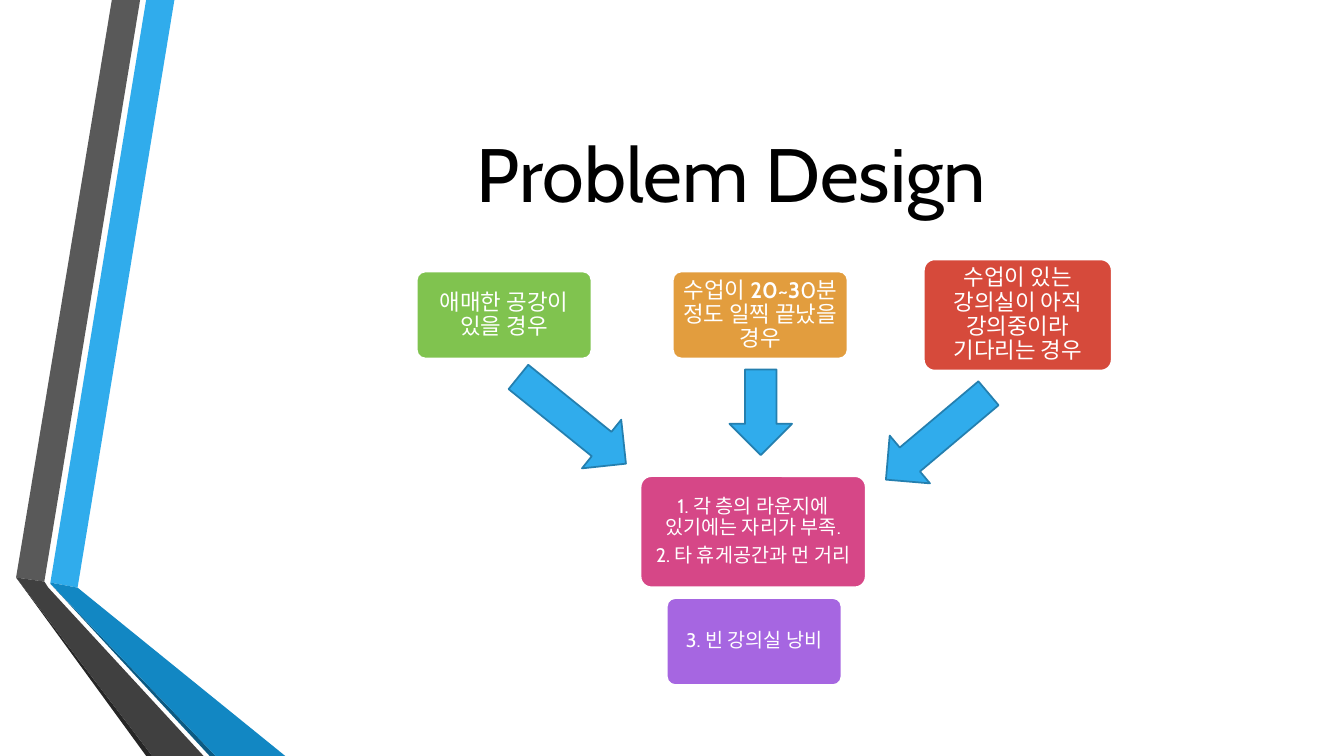
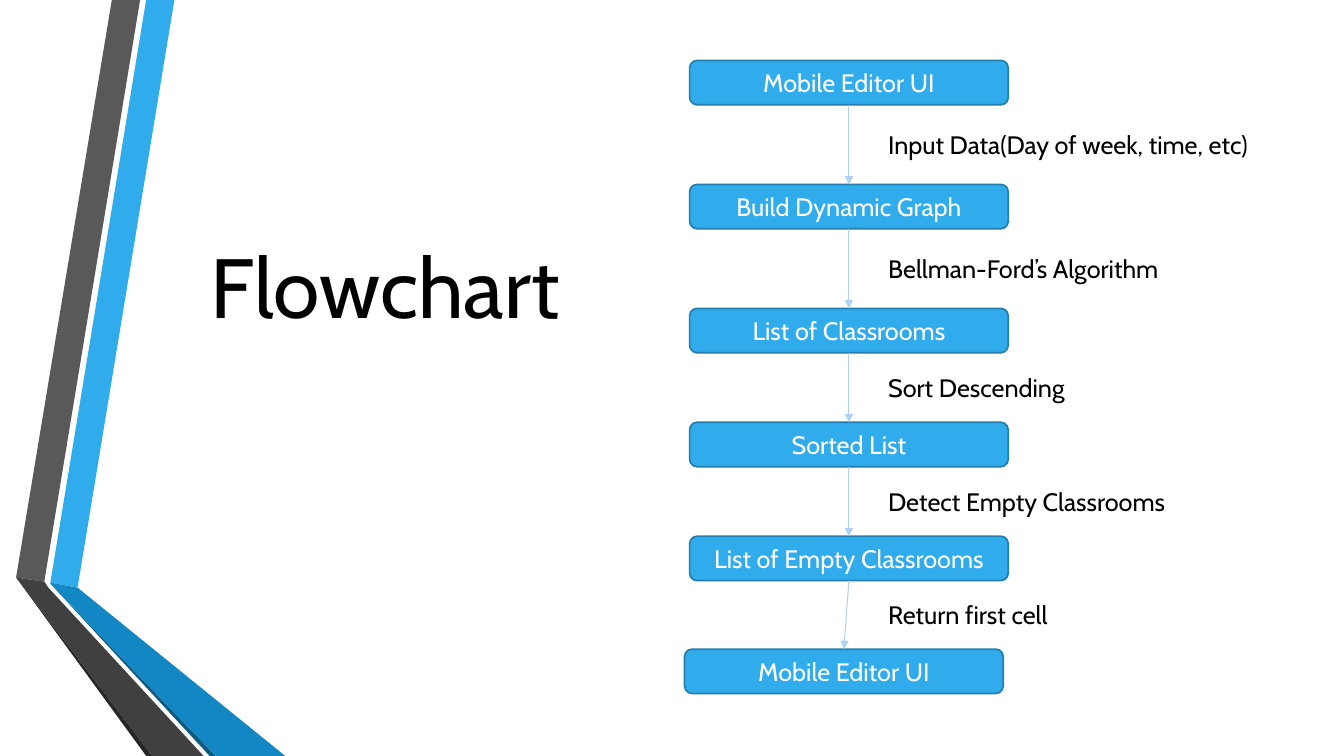
import pptx
import pptx.dml.color
import pptx.enum.shapes
import pptx.enum.text
import pptx.oxml
import pptx.oxml.ns
import pptx.util
from pptx.util import Inches

COLORS = {
    "white": "FFFFFF", "black": "000000", "blue": "30ACEC", "outline": "247FAF",
    "connector": "AED2F4", "deep_blue": "1287C3", "navy": "0C5A82",
    "gray": "595959", "dark_gray": "404040", "charcoal": "262626",
    "green": "80C34F", "orange": "E29D3E", "red": "D64A3B",
    "pink": "D64787", "purple": "A666E1",
}
FONT = "Cabin"
SHAPES = pptx.enum.shapes.MSO_SHAPE
ANCHOR = pptx.enum.text.MSO_ANCHOR
ALIGN = pptx.enum.text.PP_ALIGN

BANDS = [
    ("blue", [(0.5, 5.78), (0.77, 5.83), (1.73, 0), (1.45, 0)]),
    ("gray", [(1.39, 0), (1.11, 0), (0.16, 5.73), (0.44, 5.77)]),
    ("charcoal", [(0.16, 5.73), (1.45, 7.5), (1.51, 7.5)]),
    ("navy", [(0.5, 5.79), (2.08, 7.5), (2.14, 7.5)]),
    ("deep_blue", [(0.5, 5.78), (0.5, 5.79), (2.14, 7.5), (2.83, 7.5), (0.77, 5.83)]),
    ("dark_gray", [(0.16, 5.73), (1.51, 7.5), (2.02, 7.5), (0.48, 5.83), (0.44, 5.77)]),
]

CARDS = [
    ("green", (4.13, 2.69, 1.74, 0.87), 16, [[("애매한 공강이 있을 경우", False)]]),
    ("orange", (6.67, 2.69, 1.74, 0.87), 16,
     [[("수업이 ", False), ("20~3", True), ("0분 정도 일찍 끝났을 경우", False)]]),
    ("red", (9.16, 2.57, 1.87, 1.11), 16,
     [[("수업이 있는 강의실이 아직 강의중이라 기다리는 경우", False)]]),
    ("pink", (6.35, 4.72, 2.24, 1.11), 14,
     [[("1. 각 층의 라운지에 있기에는 자리가 부족.", False)],
      [("2. 타 휴게공간과 먼 거리", False)]]),
    ("purple", (6.61, 5.93, 1.74, 0.87), 14, [[("3. 빈 강의실 낭비", False)]]),
]

ARROWS = [
    ((4.99, 3.86, 1.37, 0.62), 38.9),
    ((7.12, 3.78, 0.85, 0.62), 90),
    ((8.63, 4.02, 1.33, 0.62), 139.9),
]

STEPS = [
    ("Mobile Editor UI", 6.84, 0.6),
    ("Build Dynamic Graph", 6.84, 1.83),
    ("List of Classrooms", 6.84, 3.06),
    ("Sorted List", 6.84, 4.19),
    ("List of Empty Classrooms", 6.84, 5.32),
    ("Mobile Editor UI", 6.79, 6.44),
]
STEP_SIZE = (3.16, 0.44)
LABEL_SIZE = (3.93, 0.4)
ACTIONS = [
    "Input Data(Day of week, time, etc)",
    "Bellman-Ford’s Algorithm",
    "Sort Descending",
    "Detect Empty Classrooms",
    "Return first cell",
]


def rgb(name):
    return pptx.dml.color.RGBColor.from_string(COLORS[name])


def inches(values):
    return [Inches(value) for value in values]


def add_span(para, text, size, color, bold=False):
    span = para.add_run()
    span.text = text
    span.font.name = FONT
    span.font.size = pptx.util.Pt(size)
    span.font.bold = bold
    span.font.color.rgb = rgb(color)


def add_bands(page, layout):
    for number, (color, points) in enumerate(BANDS):
        corners = [tuple(inches(point)) for point in points]
        builder = page.shapes.build_freeform(*corners[0])
        builder.add_line_segments(corners[1:], close=True)
        band = builder.convert_to_shape()
        band.shadow.inherit = False
        band.fill.solid()
        band.fill.fore_color.rgb = rgb(color)
        band.line.fill.background()
        band.element.xpath(".//p:cNvPr")[0].set("id", str(20 + number))
        layout.shapes.element.append(band.element)


def set_title(page, text, place, size, align, anchor):
    title = page.shapes.title
    title.left, title.top, title.width, title.height = inches(place)
    frame = title.text_frame
    frame.auto_size = pptx.enum.text.MSO_AUTO_SIZE.NONE
    frame.vertical_anchor = anchor
    para = frame.paragraphs[0]
    para.alignment = align
    add_span(para, text, size, "black")


def add_box(page, kind, place, fill="blue", line="outline", weight=1.25):
    box = page.shapes.add_shape(kind, *inches(place))
    box.shadow.inherit = False
    box.fill.solid()
    box.fill.fore_color.rgb = rgb(fill)
    box.line.color.rgb = rgb(line)
    box.line.width = pptx.util.Pt(weight)
    return box


def add_card(page, color, place, size, paragraphs):
    card = add_box(page, SHAPES.ROUNDED_RECTANGLE, place, color, "white", 1.75)
    card.adjustments[0] = 0.1
    frame = card.text_frame
    frame.word_wrap = True
    frame.vertical_anchor = ANCHOR.MIDDLE
    frame.margin_left = frame.margin_right = Inches(0.06)
    frame.margin_top = frame.margin_bottom = Inches(0.05)
    for number, spans in enumerate(paragraphs):
        para = frame.add_paragraph() if number else frame.paragraphs[0]
        para.alignment = ALIGN.CENTER
        para.line_spacing = 0.9
        para.space_after = pptx.util.Pt(size * 0.35)
        for text, bold in spans:
            add_span(para, text, size, "white", bold)


def add_step(page, text, left, top):
    step = add_box(page, SHAPES.ROUNDED_RECTANGLE, (left, top, *STEP_SIZE))
    frame = step.text_frame
    frame.word_wrap = True
    frame.vertical_anchor = ANCHOR.MIDDLE
    para = frame.paragraphs[0]
    para.alignment = ALIGN.CENTER
    add_span(para, text, 18, "white")
    return step


def add_link(page, upper, lower):
    link = page.shapes.add_connector(
        pptx.enum.shapes.MSO_CONNECTOR.STRAIGHT, 0, 0, 0, 0)
    link.begin_connect(upper, 2)
    link.end_connect(lower, 0)
    link.line.color.rgb = rgb("connector")
    link.line.width = pptx.util.Pt(0.75)
    namespace = pptx.oxml.ns.nsdecls("a")
    outline = link.element.spPr.find(pptx.oxml.ns.qn("a:ln"))
    outline.append(pptx.oxml.parse_xml(f'<a:tailEnd {namespace} type="triangle"/>'))
    link.element.spPr.append(pptx.oxml.parse_xml(f"<a:effectLst {namespace}/>"))


def add_label(page, text, left, top):
    label = page.shapes.add_textbox(*inches((left, top, *LABEL_SIZE)))
    label.text_frame.word_wrap = True
    add_span(label.text_frame.paragraphs[0], text, 18, "black")


def build_problem(page):
    set_title(page, "Problem Design", (1.93, 0.75, 10.65, 1.92), 54,
              ALIGN.CENTER, ANCHOR.MIDDLE)
    for card in CARDS:
        add_card(page, *card)
    for place, angle in ARROWS:
        arrow = add_box(page, SHAPES.RIGHT_ARROW, place)
        arrow.rotation = angle


def build_flowchart(page):
    set_title(page, "Flowchart", (1.36, 2.27, 4.29, 1.11), 60,
              ALIGN.RIGHT, ANCHOR.BOTTOM)
    steps = [add_step(page, *step) for step in STEPS]
    for number, action in enumerate(ACTIONS):
        add_link(page, steps[number], steps[number + 1])
        gap_middle = (STEPS[number][2] + STEP_SIZE[1] + STEPS[number + 1][2]) / 2
        add_label(page, action, 8.71, gap_middle - LABEL_SIZE[1] / 2)


def main():
    deck = pptx.Presentation()
    deck.slide_width = Inches(13.33)
    deck.slide_height = Inches(7.5)
    layout = deck.slide_layouts.get_by_name("Title Only")
    problem = deck.slides.add_slide(layout)
    add_bands(problem, layout)
    build_problem(problem)
    build_flowchart(deck.slides.add_slide(layout))
    deck.save("out.pptx")


if __name__ == "__main__":
    main()
